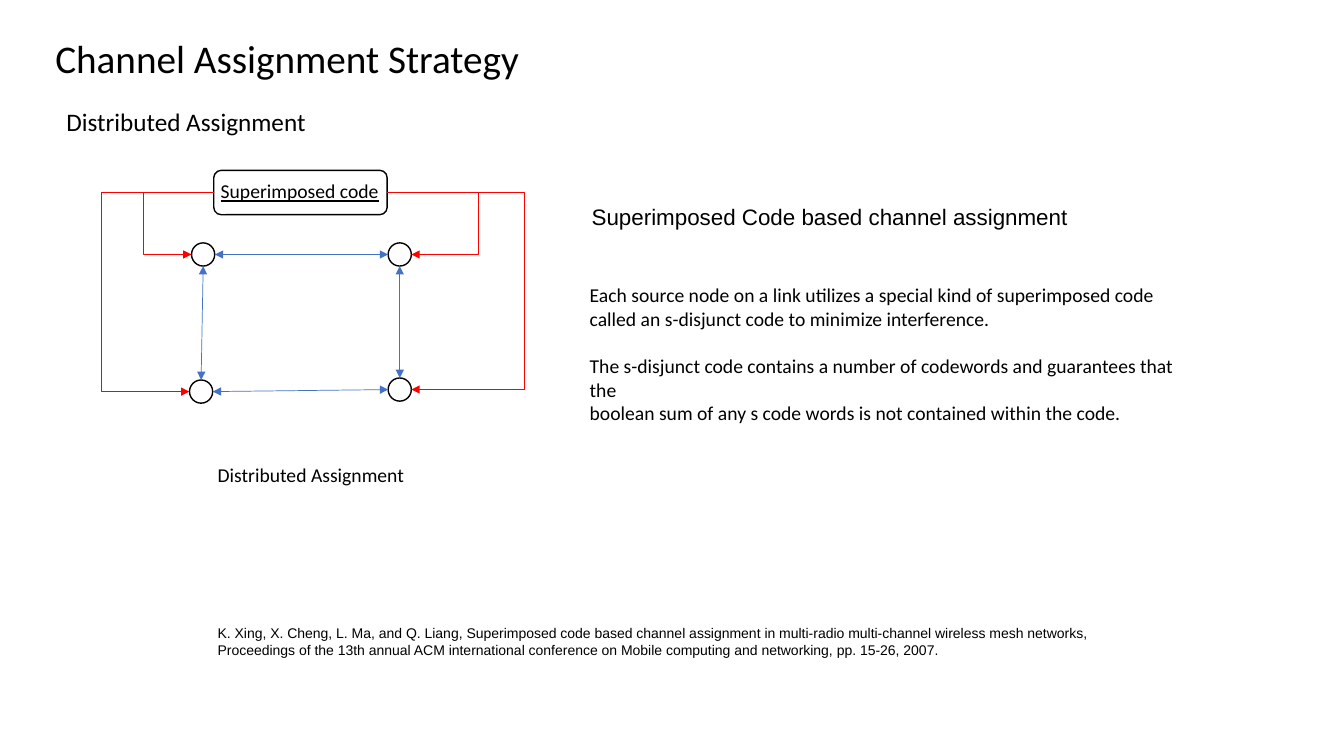
from lxml import etree
from pptx import Presentation
from pptx.dml.color import RGBColor
from pptx.enum.shapes import MSO_CONNECTOR, MSO_SHAPE
from pptx.enum.text import MSO_AUTO_SIZE
from pptx.oxml.ns import qn
from pptx.util import Inches, Pt

STRAIGHT, ELBOW = MSO_CONNECTOR.STRAIGHT, MSO_CONNECTOR.ELBOW
OVAL, ROUNDED = MSO_SHAPE.OVAL, MSO_SHAPE.ROUNDED_RECTANGLE
FIT = MSO_AUTO_SIZE.SHAPE_TO_FIT_TEXT
BLACK, WHITE, BLUE, RED = "000000", "FFFFFF", "4472C4", "FF0000"

# Content: box (left, top, width, height), size, font, wrap, paragraphs
TEXTS = [
    ((0.45, 0.29, 4.85, 0.57), 28, "Calibri", False, ["Channel Assignment Strategy"]),
    ((0.56, 1.01, 4.61, 0.4), 18, "Calibri", True, ["Distributed Assignment"]),
    ((2.06, 4.54, 2.07, 0.34), 14, "Calibri", False, ["Distributed Assignment"]),
    ((5.77, 1.97, 6.31, 0.37), 16, "Arial", True,
     ["Superimposed Code based channel assignment"]),
    ((5.75, 2.76, 6.21, 1.28), 14, "Calibri", True, [
        "Each source node on a link utilizes a special kind of superimposed code "
        "called an s-disjunct code to minimize interference.",
        "The s-disjunct code contains a number of codewords and guarantees that the",
        "boolean sum of any s code words is not contained within the code."]),
    ((2.06, 6.15, 8.97, 0.44), 10, "Arial", True, [
        "K. Xing, X. Cheng, L. Ma, and Q. Liang, Superimposed code based channel "
        "assignment in multi-radio multi-channel wireless mesh networks, Proceedings "
        "of the 13th annual ACM international conference on Mobile computing and "
        "networking, pp. 15-26, 2007."]),
]
CODE_TEXT = ((2.09, 1.73, 1.78, 0.34), 14, "Calibri", False, ["Superimposed code"])
CODE_BOX = (2.12, 1.69, 1.72, 0.44)

# Mesh nodes (left, top) and the x of the red route that reaches each one
NODE = 0.23
NODES = {"top left": (1.9, 2.41), "top right": (3.85, 2.41),
         "bottom left": (1.88, 3.77), "bottom right": (3.85, 3.75)}
LINKS_DOWN = [("top left", "bottom left"), ("top right", "bottom right")]
LINKS_ACROSS = [("top right", "top left"), ("bottom right", "bottom left")]
ROUTES = {"top right": 4.74, "top left": 1.42, "bottom left": 1.01, "bottom right": 5.2}

prs = Presentation()
prs.slide_width, prs.slide_height = Inches(13.33), Inches(7.5)
s = prs.slides.add_slide(prs.slide_layouts[6])


def color(value):
    return RGBColor.from_string(value)


def add_text(box, size, font, wrap, lines):
    tf = s.shapes.add_textbox(*map(Inches, box)).text_frame
    tf.word_wrap, tf.auto_size = wrap, FIT
    for i, line in enumerate(lines):
        p = tf.paragraphs[0] if i == 0 else tf.add_paragraph()
        p.text = line
        p.font.size, p.font.name = Pt(size), font
        p.font.color.rgb = color(BLACK)
    return tf


def add_outline(shape, box, fill=None):
    sp = s.shapes.add_shape(shape, *map(Inches, box))
    sp.shadow.inherit = False
    if fill:
        sp.fill.solid()
        sp.fill.fore_color.rgb = color(fill)
    else:
        sp.fill.background()
    sp.line.color.rgb, sp.line.width = color(BLACK), Pt(1)


def add_arrow(kind, start, end, line_color, ends):
    sp = s.shapes.add_connector(kind, *map(Inches, start + end))
    sp.line.color.rgb, sp.line.width = color(line_color), Pt(0.5)
    ln = sp.line._get_or_add_ln()
    for tag in ends:
        etree.SubElement(ln, qn(tag), type="triangle")
    etree.SubElement(sp._element.spPr, qn("a:effectLst"))
    return sp


def side(name, dx, dy):
    """Point on a node, as fractions of its width and height."""
    x, y = NODES[name]
    return x + dx * NODE, y + dy * NODE


# Headings, explanation and citation
frames = [add_text(*text) for text in TEXTS]
frames[4].paragraphs[1].space_before = Pt(17)

# Mesh nodes and blue links
for x, y in NODES.values():
    add_outline(OVAL, (x, y, NODE, NODE), WHITE)
BOTH = ("a:headEnd", "a:tailEnd")
for a, b in LINKS_DOWN:
    add_arrow(STRAIGHT, side(a, 0.5, 1), side(b, 0.5, 0), BLUE, BOTH)
for a, b in LINKS_ACROSS:
    add_arrow(STRAIGHT, side(a, 0, 0.5), side(b, 1, 0.5), BLUE, BOTH)

# Code box
add_text(*CODE_TEXT).paragraphs[0].font.underline = True
add_outline(ROUNDED, CODE_BOX)

# Red routes from the code box to each node
left, top, width, height = CODE_BOX
for name, route_x in ROUTES.items():
    on_right = "right" in name
    start = (left + width * on_right, top + height / 2)
    end = side(name, int(on_right), 0.5)
    sp = add_arrow(ELBOW, start, end, RED, ("a:tailEnd",))
    bend = round((route_x - start[0]) / (end[0] - start[0]) * 100000)
    guides = sp._element.spPr.find(qn("a:prstGeom")).get_or_add_avLst()
    etree.SubElement(guides, qn("a:gd"), name="adj1", fmla=f"val {bend}")

prs.save("out.pptx")
